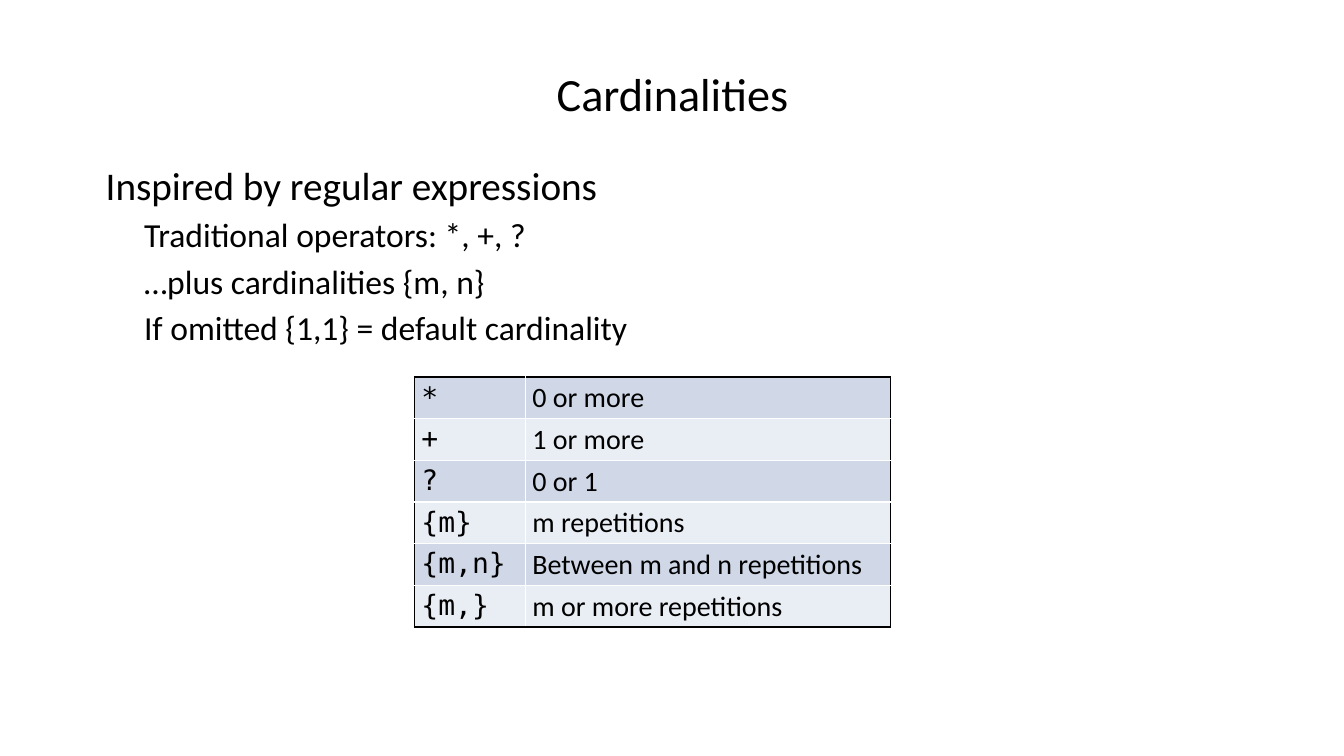
from lxml.etree import SubElement
from pptx import Presentation
from pptx.dml.color import RGBColor
from pptx.enum.text import MSO_ANCHOR, PP_ALIGN
from pptx.oxml.ns import qn
from pptx.util import Inches, Pt

BLACK, WHITE = "000000", "FFFFFF"
BANDS = ["D0D8E8", "E9EDF4"]
MONO = "DejaVu Sans Mono"
POINTS = [
    "Traditional operators: *, +, ?",
    "…plus cardinalities {m, n}",
    "If omitted {1,1} = default cardinality",
]
RULES = [
    ("*", "0 or more"),
    ("+", "1 or more"),
    ("?", "0 or 1"),
    ("{m}", "m repetitions"),
    ("{m,n}", "Between m and n repetitions"),
    ("{m,}", "m or more repetitions"),
]


def paint(hue):
    """Turn a hex string into a colour."""
    return RGBColor.from_string(hue)


def write(para, text, size=20, font="Calibri", hue=BLACK, align=None, left=0, hang=0, gap=0):
    """Write formatted text into a paragraph."""
    run = para.add_run()
    run.text = text
    run.font.size, run.font.name = Pt(size), font
    run.font.color.rgb = paint(hue)
    para.alignment = align
    para.space_before = Pt(gap)
    props = para._p.get_or_add_pPr()
    props.set("marL", str(Inches(left)))
    props.set("indent", str(Inches(-hang)))


def add_box(slide, left, top, width, height, anchor=MSO_ANCHOR.TOP):
    """Add a wrapping text box and return its frame."""
    box = slide.shapes.add_textbox(Inches(left), Inches(top), Inches(width), Inches(height))
    frame = box.text_frame
    frame.word_wrap = True
    frame.vertical_anchor = anchor
    return frame


def add_edge(cell, side, hue):
    """Draw one border of a cell."""
    line = SubElement(cell._tc.get_or_add_tcPr(), qn("a:" + side), w=str(Pt(1)))
    fill = SubElement(line, qn("a:solidFill"))
    SubElement(fill, qn("a:srgbClr"), val=hue)


def style_cell(cell, row, col, last):
    """Set the margins, borders and band fill of a cell."""
    cell.margin_left = cell.margin_right = Inches(0.07)
    cell.margin_top = cell.margin_bottom = Inches(0.04)
    outer = {"lnL": col == 0, "lnR": col == 1, "lnT": row == 0, "lnB": row == last}
    for side, edge in outer.items():
        add_edge(cell, side, BLACK if edge else WHITE)
    cell.fill.solid()
    cell.fill.fore_color.rgb = paint(BANDS[row % 2])


def add_rules(slide, left, top, widths, tall):
    """Add the table of cardinality operators."""
    count = len(RULES)
    frame = slide.shapes.add_table(
        count, 2, Inches(left), Inches(top), Inches(sum(widths)), Inches(tall * count))
    table = frame.table
    table.first_row = table.horz_banding = False
    for col, width in enumerate(widths):
        table.columns[col].width = Inches(width)
    for row, texts in enumerate(RULES):
        table.rows[row].height = Inches(tall)
        for col, text in enumerate(texts):
            cell = table.cell(row, col)
            style_cell(cell, row, col, count - 1)
            write(cell.text_frame.paragraphs[0], text, font="Calibri" if col else MONO)


def main():
    """Build the slide and save it."""
    deck = Presentation()
    deck.slide_width, deck.slide_height = Inches(13.33), Inches(7.5)
    slide = deck.slides.add_slide(deck.slide_layouts[6])
    title = add_box(slide, 0.67, 0.3, 12, 1.25, MSO_ANCHOR.MIDDLE)
    write(title.paragraphs[0], "Cardinalities", size=33, align=PP_ALIGN.CENTER)
    body = add_box(slide, 0.95, 1.55, 7.71, 1.34)
    write(body.paragraphs[0], "Inspired by regular expressions", size=28,
          left=0.28, hang=0.28, gap=1)
    for text in POINTS:
        write(body.add_paragraph(), text, size=24, left=0.61, hang=0.23, gap=4.3)
    add_rules(slide, 4.11, 3.74, [1.1, 3.62], 0.41)
    deck.save("out.pptx")


if __name__ == "__main__":
    main()
